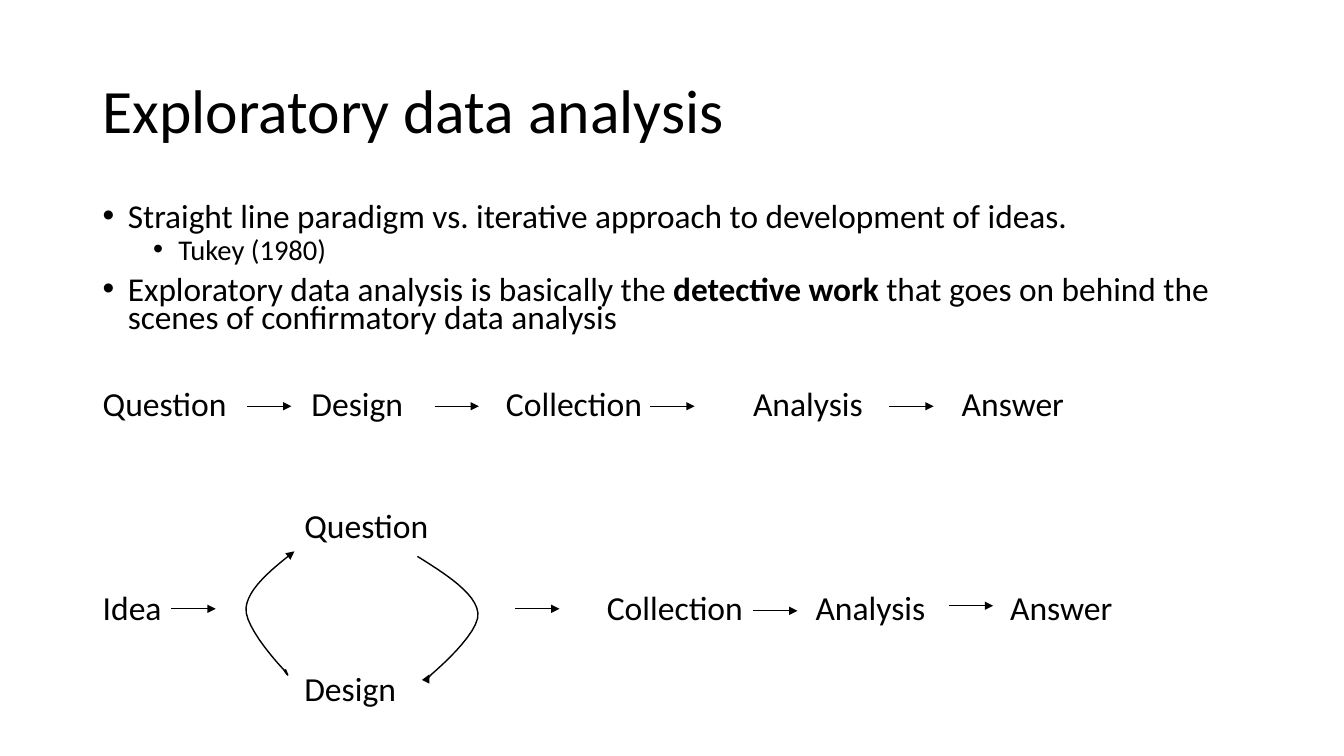
from dataclasses import dataclass

from lxml.etree import SubElement
from pptx import Presentation
from pptx.dml.color import RGBColor
from pptx.enum.shapes import MSO_CONNECTOR
from pptx.enum.text import MSO_ANCHOR
from pptx.oxml.ns import qn
from pptx.util import Inches, Pt

BLACK = RGBColor(0, 0, 0)
FONT = "Calibri"
LEFT = 0.92
STEPS = 12  # points along each curve

Point = tuple[float, float]


@dataclass
class Bullet:
    texts: list[str]  # every second text is bold
    level: int
    size: float
    indent: float
    before: float


@dataclass
class Row:
    text: str
    stops: list[float]
    before: float


@dataclass
class Arrow:
    left: float
    top: float


@dataclass
class Bend:
    start: Point
    curves: list[tuple[Point, Point, Point]]
    end: str


BULLETS = [
    Bullet(["Straight line paradigm vs. iterative approach to development of ideas."],
           0, 23.8, 0.25, 10),
    Bullet(["Tukey (1980)"], 1, 20.4, 0.75, 5),
    Bullet(["Exploratory data analysis is basically the ", "detective work ",
            "that goes on behind the scenes of confirmatory data analysis"],
           0, 23.8, 0.25, 10),
]

LINE = 29.3  # height of one 24 pt line, in points
ROWS = [
    Row("Question\tDesign\tCollection\tAnalysis\tAnswer", [2.07, 4, 6.45, 8.52], 0),
    Row("\tQuestion", [2], 2 * LINE),
    Row("Idea\tCollection\tAnalysis\tAnswer", [5, 7.07, 9], LINE),
    Row("\tDesign", [2], LINE),
]

SPAN = 0.44  # arrow length
ARROWS = (
    [Arrow(x, 4.03) for x in (2.45, 4.31, 6.45, 8.82)]
    + [Arrow(1.7, 6.04), Arrow(5.11, 6.04), Arrow(7.47, 6.06), Arrow(9.41, 6.01)]
)

BENDS = [
    Bend((2.92, 5.47), [
        ((2.69, 5.65), (2.46, 5.84), (2.44, 6.03)),
        ((2.42, 6.23), (2.81, 6.64), (2.81, 6.64)),
        ((2.88, 6.74), (2.85, 6.69), (2.83, 6.64)),
    ], "headEnd"),
    Bend((4.14, 5.52), [
        ((4.43, 5.7), (4.72, 5.89), (4.74, 6.08)),
        ((4.77, 6.28), (4.28, 6.69), (4.28, 6.69)),
        ((4.19, 6.79), (4.23, 6.74), (4.26, 6.69)),
    ], "tailEnd"),
]


def add_box(slide, top: float, width: float, height: float):
    box = slide.shapes.add_textbox(
        Inches(LEFT), Inches(top), Inches(width), Inches(height))
    box.text_frame.word_wrap = True
    return box.text_frame


def style(para, size: float) -> None:
    for run in para.runs:
        run.font.name = FONT
        run.font.size = Pt(size)
        run.font.color.rgb = BLACK


def next_para(frame, index: int):
    return frame.add_paragraph() if index else frame.paragraphs[0]


def add_bullet(para, item: Bullet) -> None:
    para.text = item.texts[0]
    for text in item.texts[1:]:
        para.add_run().text = text
    for run in para.runs[1::2]:
        run.font.bold = True
    style(para, item.size)
    para.level = item.level
    para.line_spacing = 0.7
    para.space_before = Pt(item.before)
    props = para._p.get_or_add_pPr()
    props.set("marL", str(Inches(item.indent)))
    props.set("indent", str(Inches(-0.25)))
    SubElement(props, qn("a:buFont"), typeface="Arial")
    SubElement(props, qn("a:buChar"), char="•")


def add_row(para, row: Row) -> None:
    para.text = row.text
    style(para, 24)
    para.space_before = Pt(row.before)
    tabs = SubElement(para._p.get_or_add_pPr(), qn("a:tabLst"))
    for stop in row.stops:
        SubElement(tabs, qn("a:tab"), pos=str(Inches(stop)), algn="l")


def set_line(shape, width: float, end: str) -> None:
    shape.line.width = Pt(width)
    shape.line.color.rgb = BLACK
    SubElement(shape.line._get_or_add_ln(), qn(f"a:{end}"), type="triangle")


def add_arrow(slide, arrow: Arrow) -> None:
    line = slide.shapes.add_connector(
        MSO_CONNECTOR.STRAIGHT, Inches(arrow.left), Inches(arrow.top),
        Inches(arrow.left + SPAN), Inches(arrow.top))
    set_line(line, 0.5, "tailEnd")
    SubElement(line._element.spPr, qn("a:effectLst"))


def bezier(ends: tuple[Point, Point, Point, Point], t: float) -> tuple[int, int]:
    u = 1 - t
    weights = (u ** 3, 3 * u * u * t, 3 * u * t * t, t ** 3)
    x, y = (sum(w * p[axis] for w, p in zip(weights, ends)) for axis in (0, 1))
    return Inches(x), Inches(y)


def add_bend(slide, bend: Bend) -> None:
    points, last = [], bend.start
    for curve in bend.curves:
        points += [bezier((last, *curve), i / STEPS) for i in range(1, STEPS + 1)]
        last = curve[-1]
    x, y = bend.start
    form = slide.shapes.build_freeform(Inches(x), Inches(y))
    form.add_line_segments(points, close=False)
    shape = form.convert_to_shape()
    shape.shadow.inherit = False
    shape.fill.background()
    set_line(shape, 1, bend.end)


def main() -> None:
    deck = Presentation()
    deck.slide_width, deck.slide_height = Inches(13.33), Inches(7.5)
    slide = deck.slides.add_slide(deck.slide_layouts[6])

    # Title
    title = add_box(slide, 0.4, 11.5, 1.45)
    title.text = "Exploratory data analysis"
    title.vertical_anchor = MSO_ANCHOR.MIDDLE
    title.paragraphs[0].line_spacing = 0.9
    style(title.paragraphs[0], 44)

    # Bullets
    body = add_box(slide, 2, 11.5, 1.45)
    for i, item in enumerate(BULLETS):
        add_bullet(next_para(body, i), item)

    # Words of both flows
    flow = add_box(slide, 3.75, 12.21, 3.33)
    for i, row in enumerate(ROWS):
        add_row(next_para(flow, i), row)

    # Arrows and the loop
    for arrow in ARROWS:
        add_arrow(slide, arrow)
    for bend in BENDS:
        add_bend(slide, bend)

    deck.save("out.pptx")


if __name__ == "__main__":
    main()
